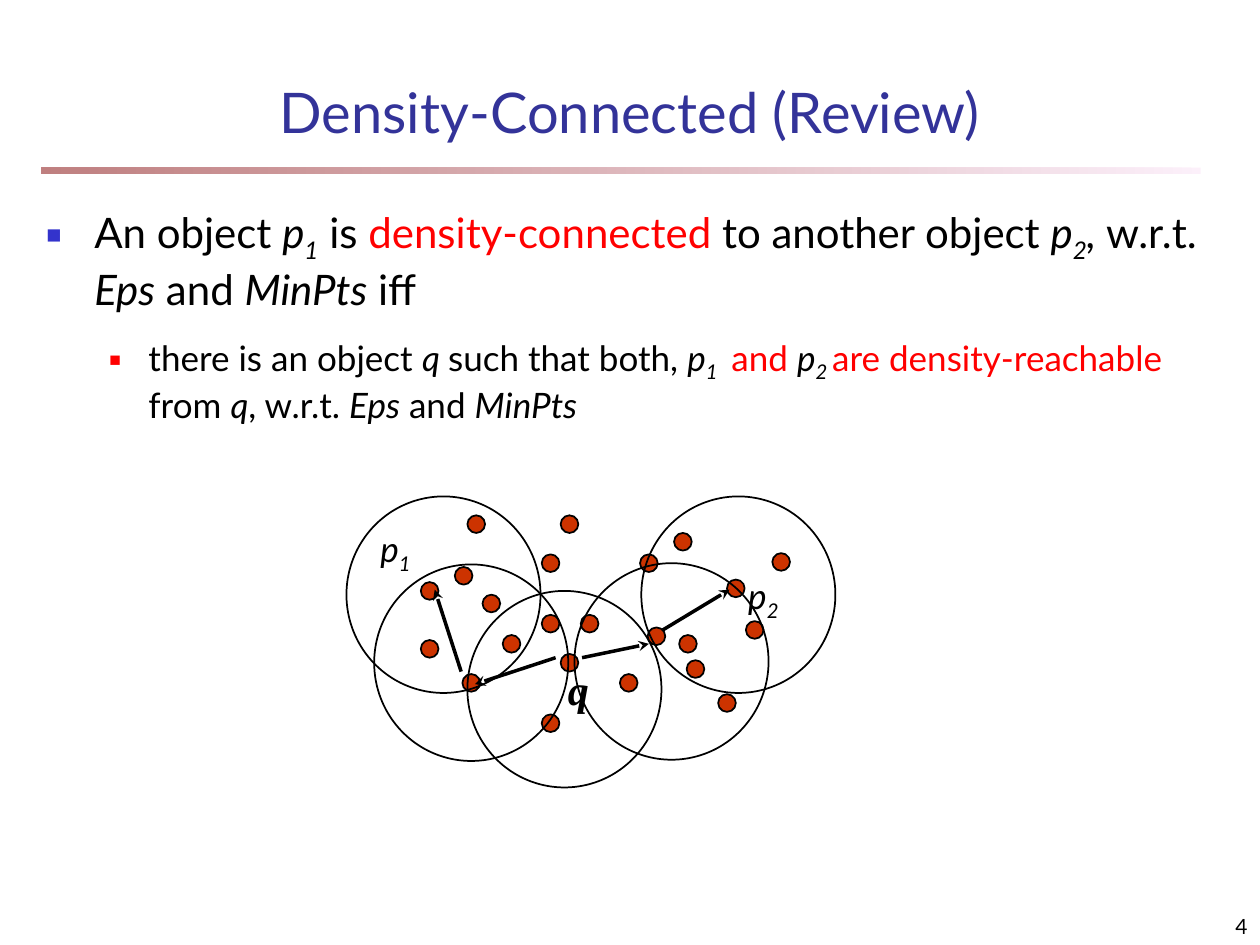
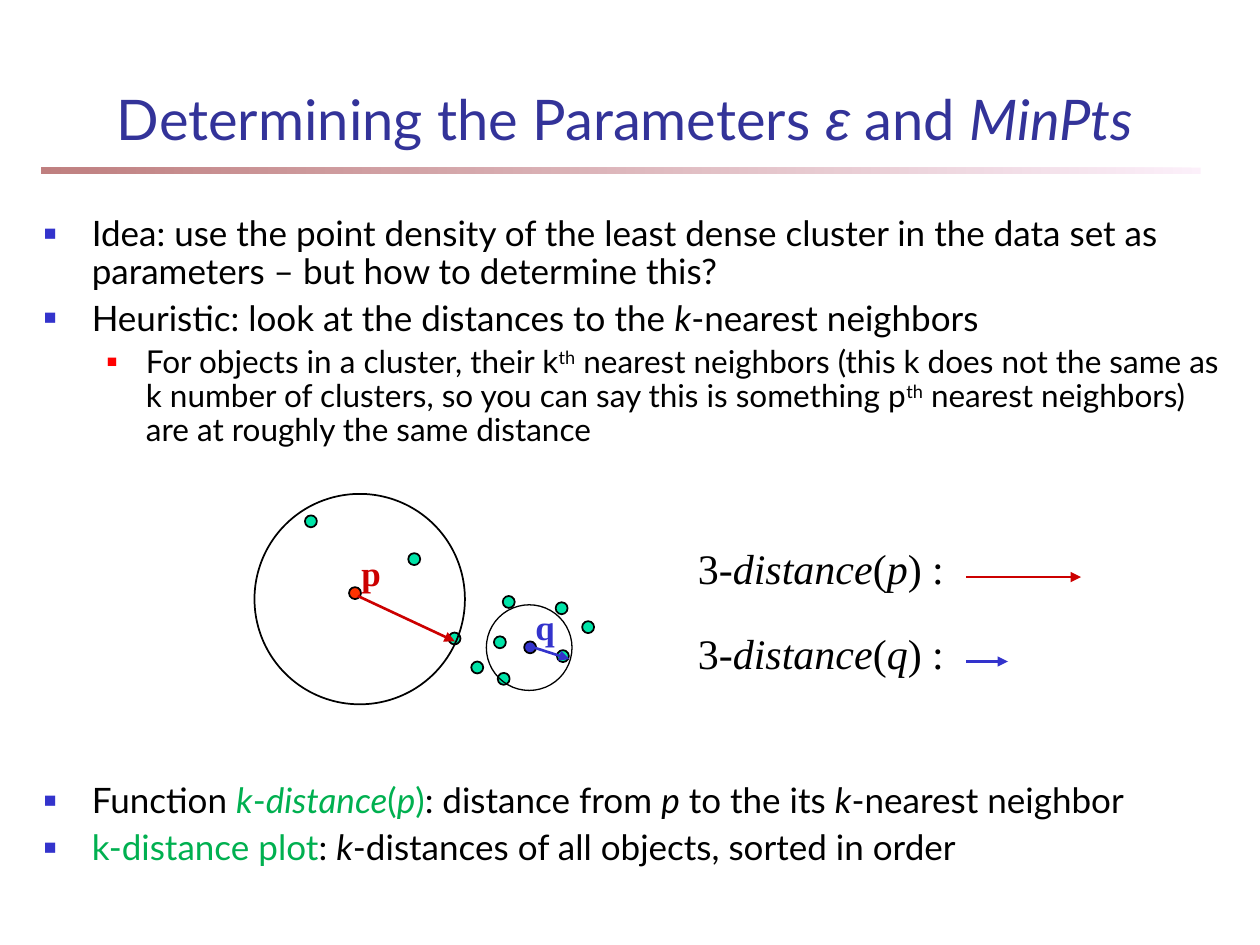
import pptx
import pptx.dml.color
import pptx.enum.shapes
import pptx.enum.text
import pptx.oxml.ns
import pptx.util
from lxml import etree

COLS, ROWS = 100, 75
SANS, SERIF = "Lato", "Times New Roman"
BLACK, RED, GREEN = "000000", "FF0000", "00B050"
NAVY, BLUE, CRIMSON = "333399", "3333CC", "CC0000"
RUST, ORANGE, MINT = "CC3300", "FF3300", "00E4A8"
BAND_FROM, BAND_TO = "FAE2F6", "800000"
BULLETS = [(3.8, -3.8, BLUE, 60), (8.1, -3.1, RED, 55)]
RUN_COLOURS = {"r": RED, "g": GREEN}
BASELINES = {"_": "-25000", "^": "30000"}
ALIGN = pptx.enum.text.PP_ALIGN
ANCHOR = pptx.enum.text.MSO_ANCHOR
SHAPE = pptx.enum.shapes.MSO_SHAPE


def rgb(colour):
    return pptx.dml.color.RGBColor.from_string(colour)


def add_xml(parent, tag, **attrs):
    return etree.SubElement(parent, pptx.oxml.ns.qn(tag), **attrs)


class Deck:
    def __init__(self):
        self.prs = pptx.Presentation()
        self.prs.slide_width = pptx.util.Inches(10)
        self.prs.slide_height = pptx.util.Inches(7.5)
        self.s = None

    def x(self, cols):
        return round(self.prs.slide_width * cols / COLS)

    def y(self, rows):
        return round(self.prs.slide_height * rows / ROWS)

    def box(self, left, top, width, height):
        return self.x(left), self.y(top), self.x(width), self.y(height)

    def slide(self, title, at, anchor):
        self.s = self.prs.slides.add_slide(self.prs.slide_layouts[6])
        self.band()
        tf = self.text_box(at, anchor=anchor)
        self.paragraph(tf, title, 32, colour=NAVY, align=ALIGN.CENTER)

    def band(self):
        sp = self.shape(SHAPE.RECTANGLE, (3.3, 13.3, 92, 0.5))
        sp.line.fill.background()
        sp.fill.gradient()
        sp.fill.gradient_angle = 180
        for stop, colour in zip(sp.fill.gradient_stops, (BAND_FROM, BAND_TO)):
            stop.color.rgb = rgb(colour)
        for clr in sp._element.xpath(".//a:gs/a:srgbClr"):
            add_xml(clr, "a:alpha", val="50000")

    def shape(self, kind, at):
        sp = self.s.shapes.add_shape(kind, *self.box(*at))
        sp.shadow.inherit = False
        return sp

    def ellipse(self, left, top, width, height, fill=None, weight=1):
        sp = self.shape(SHAPE.OVAL, (left, top, width, height))
        if fill:
            sp.fill.solid()
            sp.fill.fore_color.rgb = rgb(fill)
        else:
            sp.fill.background()
        sp.line.color.rgb = rgb(BLACK)
        sp.line.width = pptx.util.Pt(weight)

    def dots(self, places, size, fill):
        for left, top in places:
            self.ellipse(left, top, size, size, fill)

    def arrow(self, start, end, colour, weight, tip):
        line = self.s.shapes.add_connector(
            pptx.enum.shapes.MSO_CONNECTOR.STRAIGHT,
            self.x(start[0]), self.y(start[1]), self.x(end[0]), self.y(end[1]))
        line.line.color.rgb = rgb(colour)
        line.line.width = pptx.util.Pt(weight)
        add_xml(line.line._get_or_add_ln(), "a:tailEnd", type=tip)
        add_xml(line._element.spPr, "a:effectLst")

    def text_box(self, at, anchor=ANCHOR.TOP, wrap=True):
        tf = self.s.shapes.add_textbox(*self.box(*at)).text_frame
        tf.word_wrap = wrap
        tf.vertical_anchor = anchor
        return tf

    def paragraph(self, tf, runs, size, font=SANS, colour=BLACK, bold=None,
                  align=ALIGN.LEFT, before=0, spacing=None, level=None):
        p = tf.paragraphs[0]
        if p.runs:
            p = tf.add_paragraph()
        if level is not None:
            self.bullet(p, level)
        p.alignment = align
        p.space_before = pptx.util.Pt(before)
        if spacing:
            p.line_spacing = spacing
        p.font.name = font
        p.font.size = pptx.util.Pt(size)
        p.font.color.rgb = rgb(colour)
        p.font.bold = bold
        for run in runs:
            text, marks = (run, "") if isinstance(run, str) else run
            self.run(p, text, marks)

    def run(self, p, text, marks):
        r = p.add_run()
        r.text = text
        if "i" in marks:
            r.font.italic = True
        if "a" in marks:
            r.font.name = "Arial"
        for mark in marks:
            if mark in RUN_COLOURS:
                r.font.color.rgb = rgb(RUN_COLOURS[mark])
            if mark in BASELINES:
                r._r.get_or_add_rPr().set("baseline", BASELINES[mark])

    def bullet(self, p, level):
        margin, indent, colour, percent = BULLETS[level]
        p.level = level
        pPr = p._p.get_or_add_pPr()
        pPr.set("marL", str(self.x(margin)))
        pPr.set("indent", str(self.x(indent)))
        add_xml(add_xml(pPr, "a:buClr"), "a:srgbClr", val=colour)
        add_xml(pPr, "a:buSzPct", val=str(percent * 1000))
        add_xml(pPr, "a:buFont", typeface="Arial")
        add_xml(pPr, "a:buChar", char="■")

    def label(self, at, runs, size, wrap=True, **style):
        self.paragraph(self.text_box(at, wrap=wrap), runs, size, **style)


def density_connected(deck):
    deck.slide(["Density-Connected (Review)"], (0, 4.2, 100, 9.2), ANCHOR.MIDDLE)
    tf = deck.text_box((2.7, 15.9, 95.8, 55))
    deck.paragraph(tf, [
        "An object ", ("p", "i"), ("1", "i_"), " is ", ("density-connected", "r"),
        " to another object ", ("p", "i"), ("2", "i_"), (",", "i"), " w.r.t. ",
        ("Eps", "i"), " and ", ("MinPts", "i"), " iff"], 24, before=15, level=0)
    deck.paragraph(tf, [
        "there is an object ", ("q ", "i"), "such that both, ", ("p", "i"),
        ("1 ", "i_"), (" and ", "r"), ("p", "i"), ("2 ", "i_"),
        ("are density-reachable", "r"), " from ", ("q", "i"), ", w.r.t. ",
        ("Eps", "i"), " and ", ("MinPts", "i")], 20, before=12.5, level=1)

    deck.dots([
        (38.3, 47.2), (43, 48.8), (43, 44), (36.7, 53.5), (39.9, 50.4),
        (43, 56.7), (44.5, 51.9), (44.5, 40.9), (53.9, 50.4), (50.8, 44),
        (33.4, 50.8), (46.1, 48.8), (49.2, 53.5), (57, 55.1), (59.2, 49.3),
        (51.4, 49.8), (54.5, 52.4), (61.3, 43.9), (53.5, 42.3), (57.7, 46),
        (36.1, 45), (33.4, 46.2), (37.1, 40.9)], 1.4, RUST)
    for left, top in [(29.7, 44.8), (37.1, 46.9), (45.6, 44.7),
                      (50.9, 39.4), (27.5, 39.4)]:
        deck.ellipse(left, top, 15.4, 15.6)
    for start, end in [((44.1, 52.2), (37.7, 54.3)), ((46.2, 52.2), (51.5, 51.1)),
                       ((36.6, 53.3), (34.5, 46.8)), ((52.6, 50), (57.9, 46.8))]:
        deck.arrow(start, end, BLACK, 2, "stealth")
    for left, top, index in [(29.2, 41.4, "1"), (58.4, 45.1, "2")]:
        deck.label((left, top, 5.3, 4.8), [("p", "i"), (index, "i_")], 20, before=12.5)
    deck.label((44.1, 52.2, 5.3, 5), [("q", "i")], 24,
               font=SERIF, bold=True, before=15)
    tf = deck.text_box((79.2, 70.8, 20.8, 4.2), anchor=ANCHOR.BOTTOM)
    deck.paragraph(tf, ["4"], 12, align=ALIGN.RIGHT)


def determining_parameters(deck):
    deck.slide(["Determining the Parameters ", ("ε", "ia"), " and ", ("MinPts", "i")],
               (2.5, 0, 94.2, 12.5), ANCHOR.BOTTOM)
    dense = dict(spacing=0.9, before=5, level=0)
    tf = deck.text_box((2.5, 16.7, 95.8, 20))
    deck.paragraph(tf, [
        "Idea: use the point density of the least dense cluster in the data set "
        "as parameters – but how to determine this?"], 20, **dense)
    deck.paragraph(tf, ["Heuristic: look at the distances to the ", ("k", "i"),
                        "-nearest neighbors"], 20, **dense)
    deck.paragraph(tf, [
        "For objects in a cluster, their k", ("th", "^"),
        " nearest neighbors (this k does not the same as k number of clusters, "
        "so you can say this is something p", ("th", "^"),
        " nearest neighbors) are at roughly the same distance"],
        18, spacing=0.9, before=4.5, level=1)
    tf = deck.text_box((2.5, 61.7, 95.8, 9))
    deck.paragraph(tf, [
        "Function ", ("k", "ig"), ("-", "g"), ("distance", "ig"), ("(", "g"),
        ("p", "ig"), (")", "g"), ": distance from ", ("p", "i"), " to the its ",
        ("k", "i"), "-nearest neighbor"], 20, **dense)
    deck.paragraph(tf, [("k-distance plot", "g"), ": ", ("k", "i"),
                        "-distances of all objects, sorted in order"], 20, **dense)

    deck.dots([(37.4, 52.5), (35.6, 50.2), (46.2, 49.3), (39.2, 50.5), (39.9, 47.3),
               (44.1, 47.8), (44.2, 51.6), (39.5, 53.4), (32.4, 43.9),
               (24.2, 40.9)], 0.95, MINT)
    deck.dots([(41.6, 50.9)], 0.95, BLUE)
    deck.dots([(27.7, 46.6)], 0.95, ORANGE)
    deck.ellipse(20.2, 39.2, 16.7, 16.7)
    deck.ellipse(38.6, 48, 6.8, 6.8, weight=0.75)

    for name, colour, corner, row, start, end, reach in [
            ("p", CRIMSON, (27.7, 43.3), 42.6, (28.4, 47.3), (36.1, 50.9), 85.8),
            ("q", BLUE, (41.5, 47.6), 49.3, (42.1, 51.3), (45.2, 52.3), 80)]:
        deck.label((*corner, 4, 4.3), [name], 20, font=SERIF, colour=colour,
                   bold=True, before=12.5)
        deck.label((54.4, row, 21.5, 5),
                   ["3-", ("distance", "i"), "(", (name, "i"), ") :"], 24,
                   wrap=False, font=SERIF, align=ALIGN.CENTER, before=6)
        deck.arrow(start, end, colour, 1.5, "triangle")
        deck.arrow((76.7, row + 3.2), (reach, row + 3.2), colour, 1.5, "triangle")


def main():
    deck = Deck()
    density_connected(deck)
    determining_parameters(deck)
    deck.prs.save("out.pptx")


if __name__ == "__main__":
    main()
